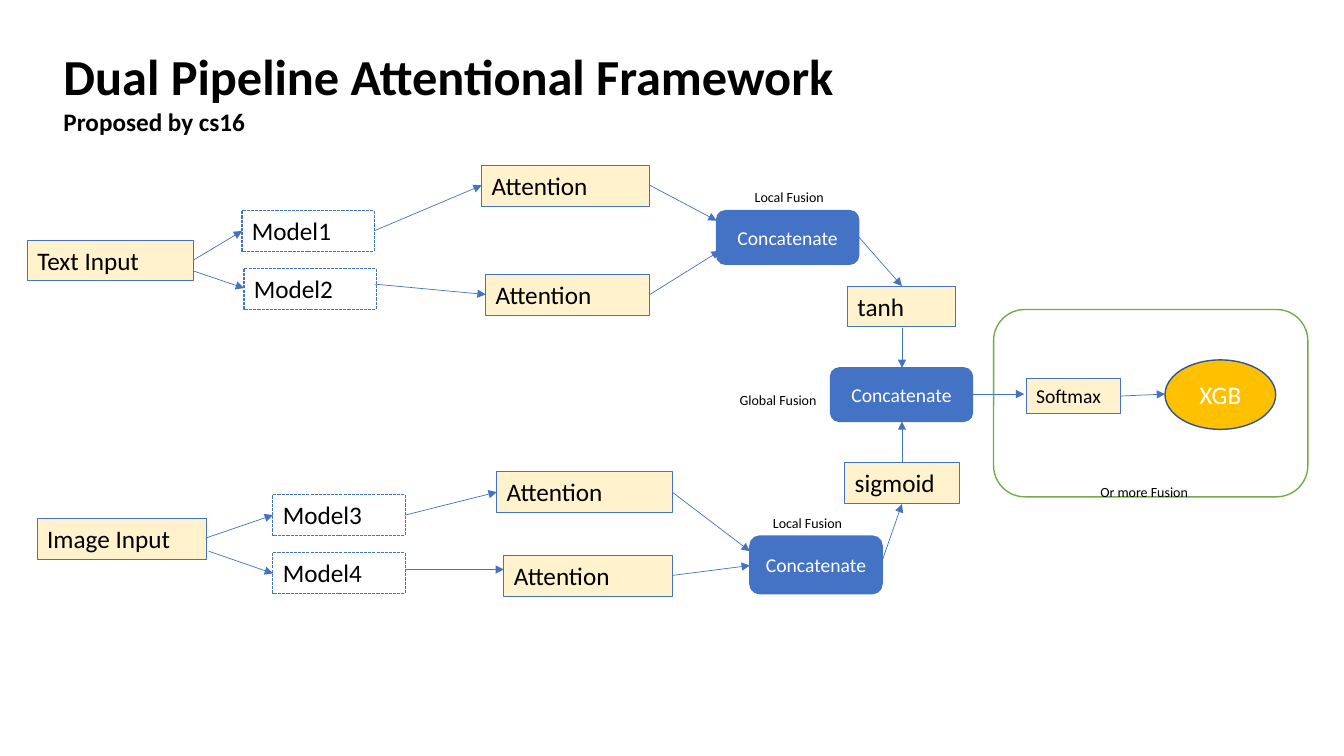
from lxml.etree import SubElement
from pptx import Presentation
from pptx.dml.color import RGBColor
from pptx.enum.dml import MSO_LINE
from pptx.enum.shapes import MSO_CONNECTOR, MSO_SHAPE
from pptx.enum.text import MSO_ANCHOR, PP_ALIGN
from pptx.oxml.ns import qn
from pptx.util import Cm, Pt

BLUE, CREAM, WHITE = "4472C4", "FFF2CC", "FFFFFF"
color = RGBColor.from_string


def write(paragraph, text, size=18, ink="000000", bold=False, align=PP_ALIGN.LEFT):
    paragraph.alignment = align
    run = paragraph.add_run()
    run.text = text
    run.font.name = "Calibri"
    run.font.size = Pt(size)
    run.font.bold = bold
    run.font.color.rgb = color(ink)


def add_block(kind, place, fill, border, width):
    block = slide.shapes.add_shape(kind, *map(Cm, place))
    block.shadow.inherit = False
    block.fill.solid()
    block.fill.fore_color.rgb = color(fill)
    block.line.color.rgb = color(border)
    block.line.width = Pt(width)
    return block


deck = Presentation()
deck.slide_width, deck.slide_height = Cm(33.87), Cm(19.05)
slide = deck.slides.add_slide(deck.slide_layouts[6])

add_block(MSO_SHAPE.ROUNDED_RECTANGLE, (25.04, 7.8, 7.92, 4.72), WHITE, "70AD47", 1)

title = slide.shapes.add_textbox(Cm(1.35), Cm(1.02), Cm(23.39), Cm(2.57)).text_frame
title.word_wrap = True
heading = title.paragraphs[0]
write(heading, "Dual Pipeline Attentional Framework", size=36, bold=True)
heading.add_line_break()
write(heading, "Proposed by cs16", bold=True)

stages = [
    ("Text Input", 0.69, 6.05, 4.18),
    ("Model1", 6.1, 5.31, 3.33),
    ("Model2", 6.15, 6.76, 3.33),
    ("Attention", 12.14, 4.17, 4.24),
    ("Attention", 12.24, 6.91, 4.14),
    ("tanh", 21.36, 7.21, 2.72),
    ("Image Input", 0.94, 13.06, 4.27),
    ("Model3", 6.88, 12.47, 3.33),
    ("Model4", 6.88, 13.92, 3.33),
    ("Attention", 12.52, 11.89, 4.42),
    ("Attention", 12.7, 14, 4.24),
    ("sigmoid", 21.29, 11.66, 2.9),
    ("Softmax", 25.86, 9.55, 2.39),
]
for name, left, top, width in stages:
    is_model = name.startswith("Model")
    is_softmax = name == "Softmax"
    place = (left, top, width, 0.86 if is_softmax else 1.03)
    stage = add_block(MSO_SHAPE.RECTANGLE, place, WHITE if is_model else CREAM, BLUE, 0.75)
    if is_model:
        stage.line.dash_style = MSO_LINE.SQUARE_DOT
    stage.text_frame.vertical_anchor = MSO_ANCHOR.TOP
    write(stage.text_frame.paragraphs[0], name, size=14 if is_softmax else 18)

for place in [(18.06, 5.31, 3.58, 1.35), (20.93, 9.27, 3.58, 1.35), (18.9, 13.51, 3.33, 1.45)]:
    fusion = add_block(MSO_SHAPE.ROUNDED_RECTANGLE, place, BLUE, BLUE, 1)
    write(fusion.text_frame.paragraphs[0], "Concatenate", size=14, ink=WHITE,
          align=PP_ALIGN.CENTER)

classifier = add_block(MSO_SHAPE.OVAL, (29.36, 9.07, 2.79, 1.75), "FFC000", "325491", 1)
write(classifier.text_frame.paragraphs[0], "XGB", ink=WHITE, align=PP_ALIGN.CENTER)

captions = [
    ("Local Fusion", 18.77, 4.62, 2.29),
    ("Global Fusion", 18.39, 9.73, 2.46),
    ("Local Fusion", 19.23, 12.85, 2.29),
    ("Or more Fusion", 27.48, 12.07, 2.74),
]
for text, left, top, width in captions:
    caption = slide.shapes.add_textbox(Cm(left), Cm(top), Cm(width), Cm(0.69)).text_frame
    caption.word_wrap = False
    write(caption.paragraphs[0], text, size=10)

flows = [
    (4.88, 6.55, 6.1, 5.82),
    (4.88, 6.83, 6.15, 7.26),
    (9.42, 5.82, 12.14, 4.67),
    (9.45, 7.16, 12.24, 7.42),
    (16.38, 4.67, 18.06, 5.56),
    (16.38, 7.42, 18.14, 6.32),
    (21.64, 5.97, 22.73, 7.21),
    (22.73, 8.26, 22.73, 9.27),
    (5.18, 13.56, 6.88, 12.98),
    (5.26, 13.89, 6.88, 14.45),
    (10.21, 12.98, 12.52, 12.4),
    (10.21, 14.35, 12.7, 14.35),
    (16.94, 12.4, 18.9, 13.89),
    (16.94, 14.5, 18.9, 14.25),
    (22.2, 14.22, 22.73, 12.7),
    (22.73, 11.66, 22.73, 10.62),
    (24.51, 9.93, 25.81, 9.93),
    (28.24, 9.98, 29.36, 9.93),
]
for ends in flows:
    arrow = slide.shapes.add_connector(MSO_CONNECTOR.STRAIGHT, *map(Cm, ends))
    arrow.line.color.rgb = color(BLUE)
    arrow.line.width = Pt(0.5)
    SubElement(arrow.line._get_or_add_ln(), qn("a:tailEnd"), type="triangle")
    SubElement(arrow._element.spPr, qn("a:effectLst"))

deck.save("out.pptx")
